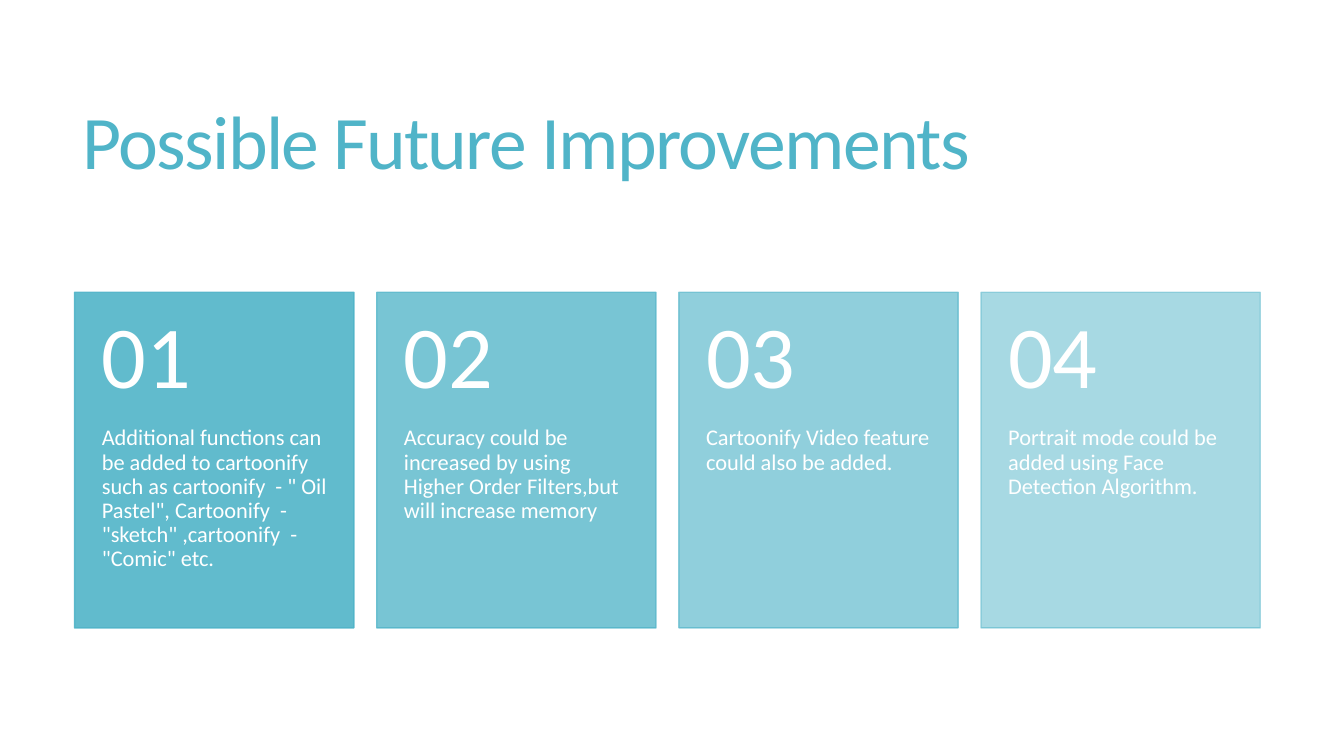
from pptx import Presentation
from pptx.dml.color import RGBColor
from pptx.enum.shapes import MSO_SHAPE as Shape
from pptx.enum.text import MSO_ANCHOR as Anchor
from pptx.oxml.ns import qn
from pptx.oxml.xmlchemy import OxmlElement
from pptx.util import Inches, Pt

FONT = "Calibri"
TEAL = "50B4C8"
WHITE = "FFFFFF"

IMPROVEMENTS = [
    'Additional functions can be added to cartoonify such as cartoonify  - " Oil Pastel", '
    'Cartoonify  - "sketch" ,cartoonify  - "Comic" etc.',
    "Accuracy could be increased by using Higher Order Filters,but will increase memory",
    "Cartoonify Video feature could also be added.",
    "Portrait mode could be added using Face Detection Algorithm.",
]
OPACITIES = [90, 77, 63, 50]


def color(hex_value):
    return RGBColor.from_string(hex_value)


def set_opacity(shape, percent):
    """Apply the same opacity to the fill and the outline."""
    for rgb in shape._element.spPr.iter(qn("a:srgbClr")):
        alpha = OxmlElement("a:alpha")
        alpha.set("val", str(percent * 1000))
        rgb.append(alpha)


def add_text(slide, box, text, size, hex_value, line_spacing, anchor, insets):
    """Add one paragraph; box is left, top, width, height and insets are left, top, right, bottom."""
    text_box = slide.shapes.add_textbox(*map(Inches, box))
    frame = text_box.text_frame
    frame.word_wrap = True
    frame.vertical_anchor = anchor
    (frame.margin_left, frame.margin_top,
     frame.margin_right, frame.margin_bottom) = map(Inches, insets)
    paragraph = frame.paragraphs[0]
    paragraph.text = text
    paragraph.line_spacing = line_spacing
    paragraph.font.name = FONT
    paragraph.font.size = Pt(size)
    paragraph.font.color.rgb = color(hex_value)
    return paragraph


def add_title(slide, box):
    paragraph = add_text(slide, box, "Possible Future Improvements", 54, TEAL,
                         0.85, Anchor.MIDDLE, (0.1, 0.05, 0.1, 0.05))
    paragraph.runs[0].font._element.set("spc", "-120")


def add_card(slide, box, number, text, opacity):
    """Add a tinted card with its number in the top 40% and its text below."""
    left, top, width, height = box
    card = slide.shapes.add_shape(Shape.RECTANGLE, *map(Inches, box))
    card.shadow.inherit = False
    card.fill.solid()
    card.fill.fore_color.rgb = color(TEAL)
    card.line.color.rgb = color(TEAL)
    card.line.width = Pt(1)
    set_opacity(card, opacity)

    number_height = 0.4 * height
    add_text(slide, (left, top + number_height, width, height - number_height),
             text, 16, WHITE, 0.9, Anchor.TOP, (0.27, 0, 0.27, 0.36))
    add_text(slide, (left, top, width, number_height),
             f"{number:02}", 63, WHITE, 0.9, Anchor.MIDDLE, (0.27, 0.18, 0.27, 0.18))


def add_cards(slide, box):
    """Spread the cards evenly over the box."""
    left, top, width, height = box
    card_width = 2.77
    step = (width - card_width) / (len(IMPROVEMENTS) - 1)
    for index, (text, opacity) in enumerate(zip(IMPROVEMENTS, OPACITIES)):
        add_card(slide, (left + index * step, top, card_width, height),
                 index + 1, text, opacity)


def main():
    presentation = Presentation()
    presentation.slide_width = Inches(13.33)
    presentation.slide_height = Inches(7.5)
    slide = presentation.slides.add_slide(presentation.slide_layouts[6])
    add_title(slide, (0.72, 0.55, 11.78, 1.81))
    add_cards(slide, (0.74, 2.9, 11.76, 3.33))
    presentation.save("out.pptx")


if __name__ == "__main__":
    main()
